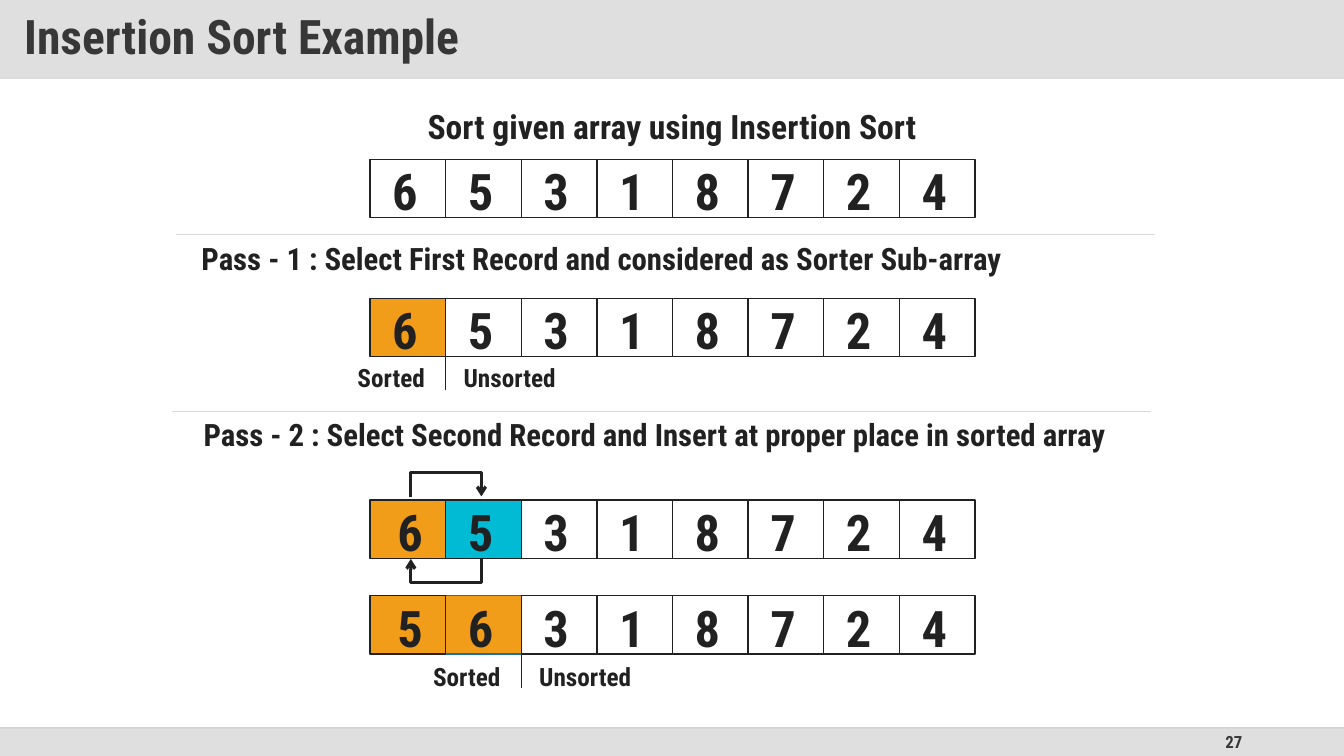
"""Build the insertion sort example slide."""
from pptx import Presentation
from pptx import util as u
from pptx.dml import color as col
from pptx.enum import shapes, text
from pptx.oxml import ns
from lxml import etree

INK = {
    "dark": "212121", "title": "373737", "white": "FFFFFF",
    "sorted": "F19D19", "picked": "00BBD3", "blue": "1D6FA9",
    "band": "C0C0C0", "foot": "DFDFDF", "rule": "D9D9D9", "edge": "BFBFBF",
}
FONT = "Roboto Condensed"
LEFT, CELL, TALL = 3.67, 0.75, 0.58
ALIGN = text.PP_ALIGN


def paint(fill, name, alpha=None):
    fill.solid()
    fill.fore_color.rgb = col.RGBColor.from_string(INK[name])
    if alpha:
        clr = fill._xPr.find(".//" + ns.qn("a:srgbClr"))
        etree.SubElement(clr, ns.qn("a:alpha")).set("val", str(alpha * 1000))


def write(frame, words, size, ink="dark", align=ALIGN.LEFT):
    frame.text = words
    para = frame.paragraphs[0]
    para.alignment = align
    font = para.runs[0].font
    font.name, font.size, font.bold = FONT, u.Pt(size), True
    font.color.rgb = col.RGBColor.from_string(INK[ink])


def pad(frame, left, top, right, bottom):
    frame.margin_left, frame.margin_top = u.Inches(left), u.Inches(top)
    frame.margin_right, frame.margin_bottom = u.Inches(right), u.Inches(bottom)


def label(slide, box, words, size, align=ALIGN.LEFT):
    frame = slide.shapes.add_textbox(*map(u.Inches, box)).text_frame
    write(frame, words, size, align=align)
    frame.word_wrap = False
    frame.auto_size = text.MSO_AUTO_SIZE.SHAPE_TO_FIT_TEXT
    return frame


def block(slide, box, fill):
    shape = slide.shapes.add_shape(
        shapes.MSO_SHAPE.RECTANGLE, *map(u.Inches, box))
    shape.shadow.inherit = False
    paint(shape.fill, fill)
    shape.line.fill.background()
    return shape


def line(slide, ends, ink, width, alpha=None,
         kind=shapes.MSO_CONNECTOR.STRAIGHT):
    link = slide.shapes.add_connector(kind, *map(u.Inches, ends))
    paint(link.line.fill, ink, alpha)
    link.line.width = u.Pt(width)
    etree.SubElement(link._element.spPr, ns.qn("a:effectLst"))
    return link


def swap(slide, ends):
    """Draw a U-shaped arrow: a flat elbow connector turned by 90 degrees."""
    link = line(slide, ends, "dark", 2.25, kind=shapes.MSO_CONNECTOR.ELBOW)
    props = link._element.spPr
    props.find(ns.qn("a:xfrm")).set("rot", "5400000")
    geom = props.find(ns.qn("a:prstGeom"))
    guides = geom.find(ns.qn("a:avLst"))
    if guides is None:
        guides = etree.SubElement(geom, ns.qn("a:avLst"))
    guide = etree.SubElement(guides, ns.qn("a:gd"))
    guide.set("name", "adj1")
    guide.set("fmla", "val 2500000")
    tail = etree.SubElement(props.find(ns.qn("a:ln")), ns.qn("a:tailEnd"))
    tail.set("type", "arrow")


def array(slide, top, digits, fills=(), shift=0, second="dark"):
    """Draw a row of cells; shift moves the first digit to the right."""
    for i in sorted(range(len(digits)), key=lambda i: i != 1):
        fill = fills[i] if i < len(fills) else "white"
        cell = block(slide, (LEFT + i * CELL, top, CELL, TALL), fill)
        paint(cell.line.fill, second if i == 1 else "dark")
        cell.line.width = u.Pt(1)
        frame = cell.text_frame
        frame.vertical_anchor = text.MSO_ANCHOR.TOP
        frame.word_wrap = False
        pad(frame, 0.22 + (0 if i else shift), 0.01, 0, 0)
        write(frame, digits[i], 36)


def split(slide, count, top):
    """Mark the border between the sorted and the unsorted part."""
    x = LEFT + count * CELL
    line(slide, (x, top, x, top + 0.33), "dark", 1)
    label(slide, (x - 1, top + 0.01, 0.95, 0.4), "Sorted ", 18, ALIGN.RIGHT)
    label(slide, (x + 0.08, top + 0.01, 1.17, 0.4), "Unsorted", 18)


def head(slide, words):
    title = slide.shapes.title
    title.left, title.top = u.Inches(0), u.Inches(0)
    title.width, title.height = u.Inches(13.33), u.Inches(0.78)
    paint(title.fill, "band", 50)
    frame = title.text_frame
    write(frame, words, 34, "title")
    frame.paragraphs[0].line_spacing = 0.9
    frame.vertical_anchor = text.MSO_ANCHOR.MIDDLE
    frame.auto_size = text.MSO_AUTO_SIZE.NONE
    pad(frame, 0.24, 0.12, 0.24, 0.12)
    line(slide, (0, 0.78, 13.33, 0.78), "rule", 1)


def foot(slide, number):
    block(slide, (0, 7.22, 13.33, 0.28), "foot")
    frame = slide.shapes.add_textbox(
        *map(u.Inches, (9.42, 7.22, 3, 0.28))).text_frame
    frame.word_wrap = True
    frame.vertical_anchor = text.MSO_ANCHOR.MIDDLE
    write(frame, number, 12, "title", ALIGN.RIGHT)
    line(slide, (0, 7.22, 13.33, 7.22), "edge", 1, 70)


def main():
    deck = Presentation()
    deck.slide_width, deck.slide_height = u.Inches(13.33), u.Inches(7.5)
    slide = deck.slides.add_slide(deck.slide_layouts[5])
    head(slide, "Insertion Sort Example")
    foot(slide, "27")

    label(slide, (4.07, 1, 5.19, 0.5),
          "Sort given array using Insertion Sort", 24, ALIGN.CENTER)
    array(slide, 1.58, "65318724")

    line(slide, (1.75, 2.33, 11.46, 2.33), "rule", 0.5)
    label(slide, (1.9, 2.33, 8.26, 0.47),
          "Pass - 1 : Select First Record and considered as Sorter Sub-array",
          22)
    array(slide, 2.96, "65318724", ["sorted"])
    split(slide, 1, 3.54)

    line(slide, (1.71, 4.08, 11.42, 4.08), "rule", 0.5)
    label(slide, (1.92, 4.08, 9.42, 0.47),
          "Pass - 2 : Select Second Record and Insert at proper place "
          "in sorted array", 22)
    array(slide, 4.96, "65318724", ["sorted", "picked"], 0.05)
    swap(slide, (4.43, 5.28, 4.42, 4.58))
    swap(slide, (4.42, 5.19, 4.43, 5.89))
    array(slide, 5.91, "56318724", ["sorted", "sorted"], 0.05, "blue")
    split(slide, 2, 6.5)
    deck.save("out.pptx")


if __name__ == "__main__":
    main()
